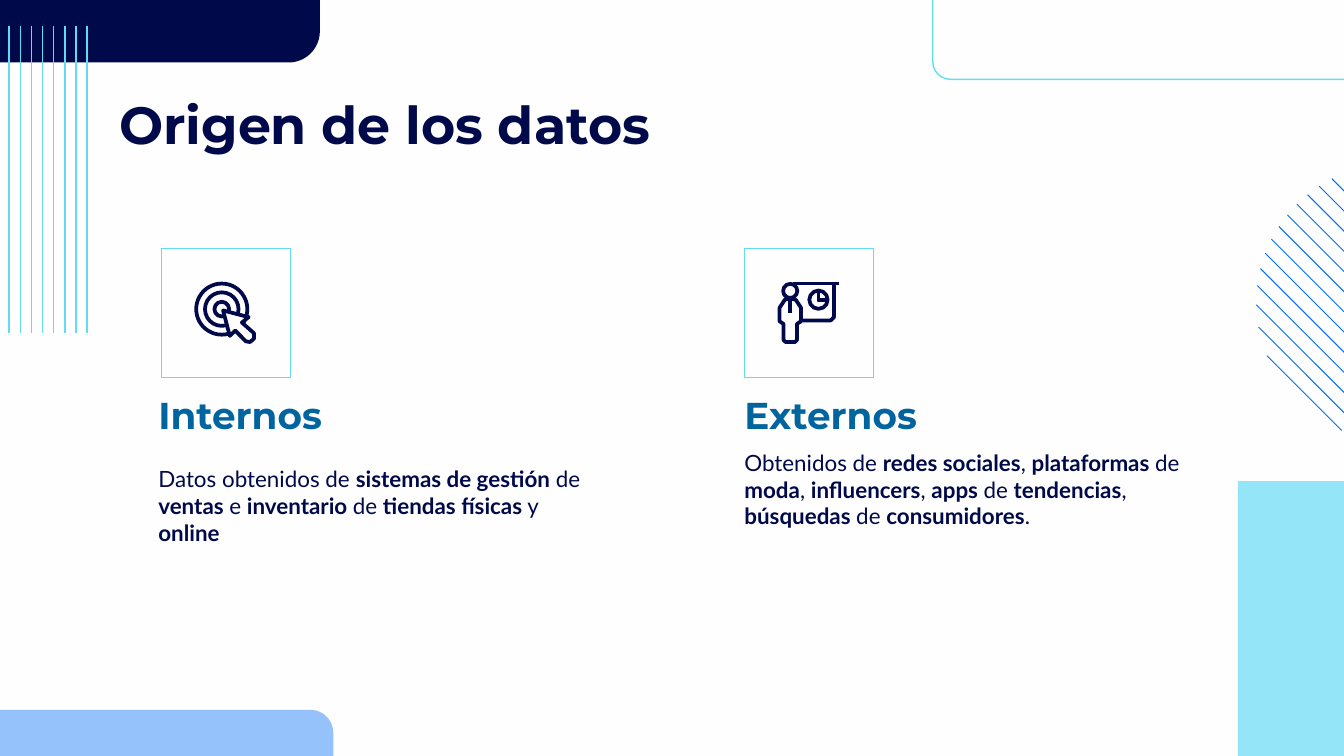
from dataclasses import dataclass
from math import sqrt

from lxml.etree import SubElement
from pptx import Presentation
from pptx.dml.color import RGBColor
from pptx.enum.shapes import MSO_CONNECTOR, MSO_SHAPE
from pptx.enum.text import MSO_ANCHOR
from pptx.oxml.ns import qn
from pptx.util import Inches, Pt


@dataclass(frozen=True)
class Theme:
    background: str = "FEFEFE"
    navy: str = "00094A"
    heading: str = "00649F"
    cyan: str = "63DBF5"
    blue: str = "006DF5"
    display_font: str = "Montserrat"
    body_font: str = "Lato"
    title_size: float = 28
    heading_size: float = 20
    body_size: float = 12
    thin_line: float = 0.75
    hatch_line: float = 0.5
    icon_line: float = 2


THEME = Theme()


@dataclass(frozen=True)
class Box:
    left: float
    top: float
    width: float
    height: float

    def point(self, x, y):
        return (round(self.left + self.width * x / 100),
                round(self.top + self.height * y / 100))

    def area(self, x, y, width, height):
        return Box(*self.point(x, y), round(self.width * width / 100),
                   round(self.height * height / 100))


def paint(shape, fill=None, line=None, width=THEME.thin_line, opacity=None):
    shape.shadow.inherit = False
    if fill:
        shape.fill.solid()
        shape.fill.fore_color.rgb = RGBColor.from_string(fill)
        if opacity:
            color = shape._element.spPr.find(qn("a:solidFill"))[0]
            SubElement(color, qn("a:alpha")).set("val", str(opacity * 1000))
    else:
        shape.fill.background()
    if line:
        shape.line.color.rgb = RGBColor.from_string(line)
        shape.line.width = Pt(width)
    else:
        shape.line.fill.background()


def add_panel(slide, box, preset, rotation=0, corner=None, **style):
    left, top, width, height = box.left, box.top, box.width, box.height
    if rotation == 90:
        left += (width - height) // 2
        top += (height - width) // 2
        width, height = height, width
    shape = slide.shapes.add_shape(preset, left, top, width, height)
    shape.rotation = rotation
    if corner is not None:
        shape.adjustments[0] = corner
    paint(shape, **style)


def add_line(slide, start, end, color, width):
    line = slide.shapes.add_connector(MSO_CONNECTOR.STRAIGHT, *start, *end)
    line.line.color.rgb = RGBColor.from_string(color)
    line.line.width = Pt(width)
    SubElement(line._element.spPr, qn("a:effectLst"))


def add_text(slide, box, runs, font, size, color, anchor=MSO_ANCHOR.TOP):
    frame = slide.shapes.add_textbox(box.left, box.top, box.width, box.height).text_frame
    frame.word_wrap = True
    frame.vertical_anchor = anchor
    frame.margin_left = frame.margin_right = Inches(0.1)
    frame.margin_top = frame.margin_bottom = Inches(0.1)
    paragraph = frame.paragraphs[0]
    for text, bold in runs:
        run = paragraph.add_run()
        run.text = text
        run.font.name = font
        run.font.size = Pt(size)
        run.font.bold = bold
        run.font.color.rgb = RGBColor.from_string(color)


def add_ring(slide, box, x, y, radius):
    add_panel(slide, box.area(x - radius, y - radius, 2 * radius, 2 * radius),
              MSO_SHAPE.OVAL, line=THEME.navy, width=THEME.icon_line)


def add_outline(slide, box, points, close=False, fill=None):
    corners = [box.point(*point) for point in points]
    builder = slide.shapes.build_freeform(*corners[0])
    builder.add_line_segments(corners[1:], close=close)
    paint(builder.convert_to_shape(), fill=fill, line=THEME.navy, width=THEME.icon_line)


def draw_target(slide, box):
    for radius in (19.8, 13, 5.7):
        add_ring(slide, box, 46.9, 46.9, radius)
    pointer = [(47.9, 47.9), (67.7, 53.1), (62.5, 57.3), (71.9, 65.6), (71.9, 69.8),
               (68.8, 72.4), (65.6, 71.9), (57.3, 63.5), (53.1, 67.7)]
    add_outline(slide, box, pointer, close=True, fill=THEME.background)


def draw_presenter(slide, box):
    center = 35.4
    half_body = [(0, 38.5), (4.2, 39.6), (8.3, 45.8), (8.3, 56.3), (5.2, 58.3),
                 (5.2, 70.8), (3.6, 72.4)]
    body = [(center + x, y) for x, y in half_body]
    body += [(center - x, y) for x, y in half_body[:0:-1]]
    add_ring(slide, box, center, 32.8, 5.5)
    add_outline(slide, box, body, close=True)
    add_line(slide, box.point(center, 39.6), box.point(center, 50), THEME.navy, THEME.icon_line)
    add_line(slide, box.point(37.5, 27.1), box.point(73.4, 27.1), THEME.navy, THEME.icon_line)
    add_outline(slide, box, [(69.3, 27.1), (69.3, 53.1), (66.7, 55.7), (44.8, 55.7)])
    add_ring(slide, box, 57.3, 39.6, 7.1)
    add_outline(slide, box, [(57.3, 33.3), (57.3, 40.1), (63.5, 40.1)])


def add_vertical_stripes(slide, box, count=8):
    for index in range(count):
        x = 100 * index / (count - 1)
        add_line(slide, box.point(x, 0), box.point(x, 100), THEME.cyan, THEME.thin_line)


def add_hatched_circle(slide, center_x, center_y, reach, step):
    for index in range(-3, 10):
        offset = step * index
        half = sqrt(reach ** 2 - offset ** 2)
        x, y = center_x - offset, center_y + offset
        start = round(x - half), round(y - half)
        end = round(x + half), round(y + half)
        add_line(slide, start, end, THEME.blue, THEME.hatch_line)


def add_decoration(slide, box):
    rounded = MSO_SHAPE.ROUND_1_RECTANGLE
    add_panel(slide, box.area(92.1, 63.64, 7.9, 36.36), MSO_SHAPE.RECTANGLE,
              fill=THEME.cyan, opacity=69)
    add_panel(slide, box.area(0, 93.9, 24.8, 6.1), rounded, corner=0.5,
              fill=THEME.blue, opacity=41)
    add_panel(slide, box.area(0, 0, 23.8, 8.27), rounded, rotation=90, corner=0.5,
              fill=THEME.navy)
    add_panel(slide, box.area(69.4, -3.2, 32.1, 13.69), rounded, rotation=180,
              corner=0.17, line=THEME.cyan)
    add_vertical_stripes(slide, box.area(0.68, 3.38, 5.8, 40.71))
    add_hatched_circle(slide, *box.point(103.8, 40), box.width * 0.073, box.width * 0.0075)


def add_origin(slide, box, heading, runs, draw_icon, icon_left, body_top):
    add_text(slide, box.area(0, body_top, 100, 47.39), runs,
             THEME.body_font, THEME.body_size, THEME.navy)
    add_text(slide, box.area(0, 36.93, 100, 15.33), [(heading, True)],
             THEME.display_font, THEME.heading_size, THEME.heading, MSO_ANCHOR.BOTTOM)
    icon_box = box.area(icon_left, 0, 27.51, 33.45)
    add_panel(slide, icon_box, MSO_SHAPE.RECTANGLE, line=THEME.cyan)
    draw_icon(slide, icon_box)


def main():
    presentation = Presentation()
    presentation.slide_width = Inches(10)
    presentation.slide_height = presentation.slide_width * 9 // 16
    slide = presentation.slides.add_slide(presentation.slide_layouts[6])
    slide.background.fill.solid()
    slide.background.fill.fore_color.rgb = RGBColor.from_string(THEME.background)
    page = Box(0, 0, presentation.slide_width, presentation.slide_height)

    add_decoration(slide, page)
    add_text(slide, page.area(7.9, 10.49, 84.2, 11.2), [("Origen de los datos", True)],
             THEME.display_font, THEME.title_size, THEME.navy)
    internal = [("Datos obtenidos de ", False), ("sistemas de gestión", True), (" de ", False),
                ("ventas ", True), ("e ", False), ("inventario ", True), ("de ", False),
                ("tiendas físicas", True), (" y ", False), ("online", True)]
    external = [("Obtenidos de ", False), ("redes sociales", True), (", ", False),
                ("plataformas ", True), ("de ", False), ("moda", True), (", ", False),
                ("influencers", True), (", ", False), ("apps ", True), ("de ", False),
                ("tendencias", True), (", ", False), ("búsquedas ", True), ("de ", False),
                ("consumidores", True), (".", False)]
    origins = [(10.8, "Internos", internal, draw_target, 3.44, 52.61),
               (54.4, "Externos", external, draw_presenter, 2.87, 48.43)]
    for left, *content in origins:
        add_origin(slide, page.area(left, 32.89, 34.9, 51.02), *content)
    presentation.save("out.pptx")


if __name__ == "__main__":
    main()
